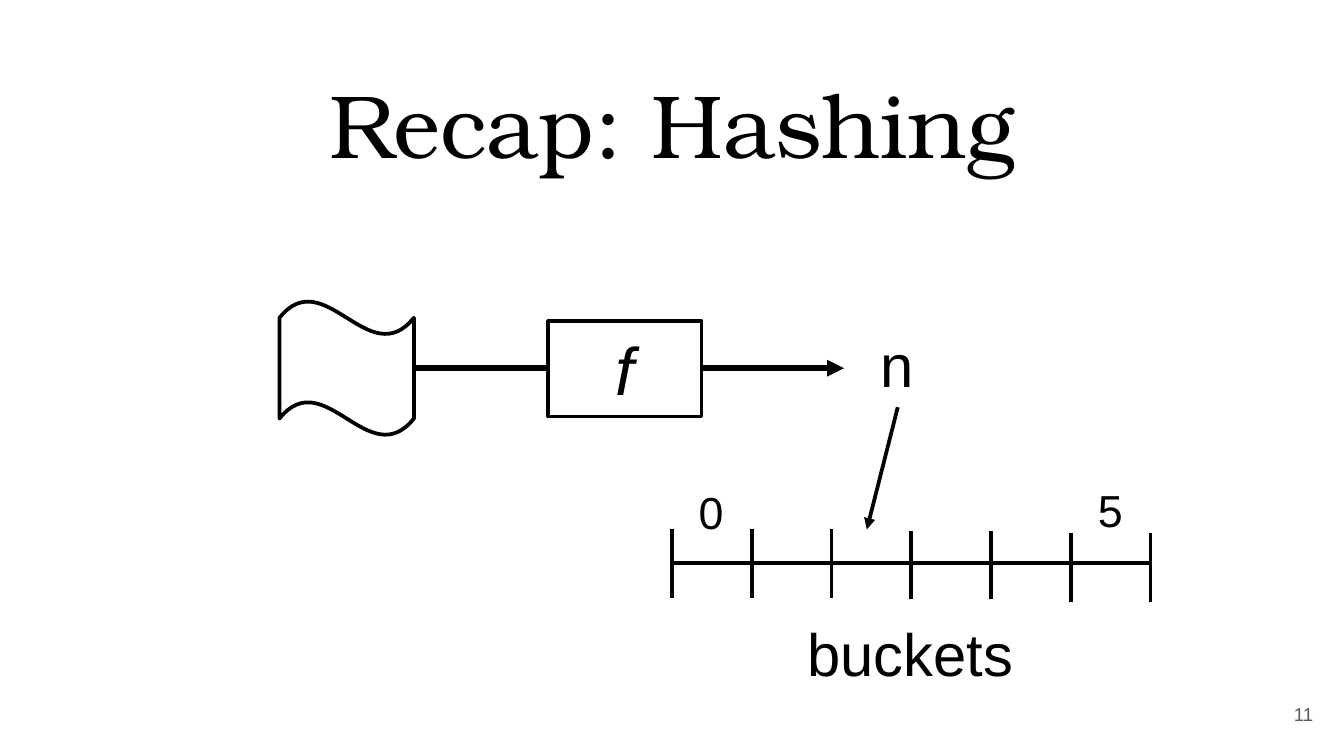
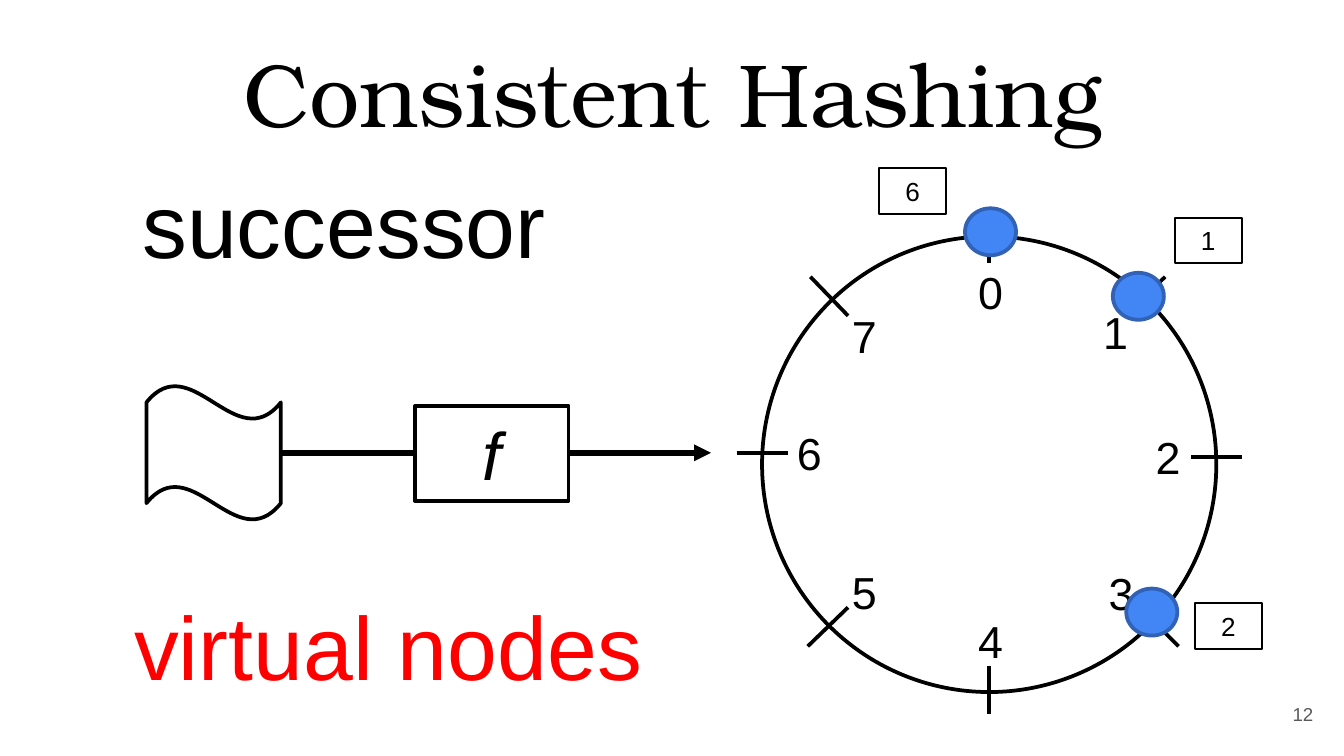
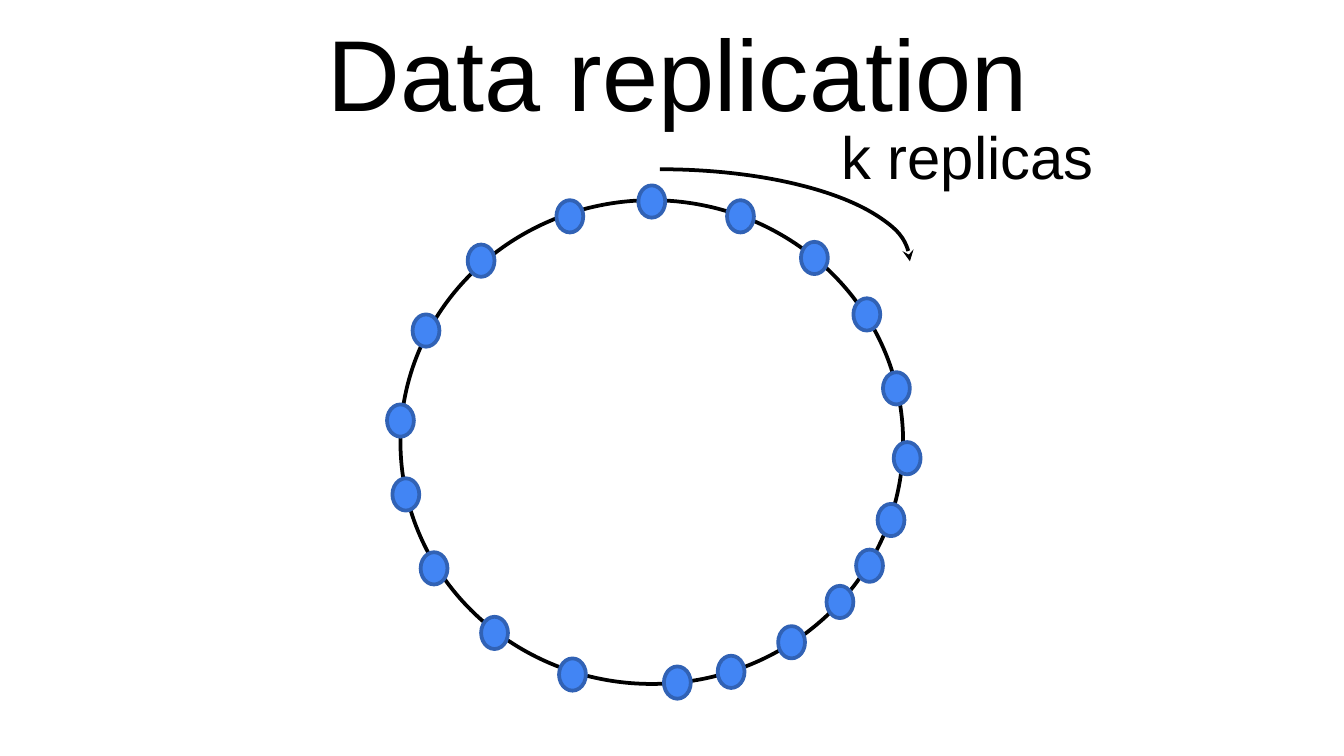
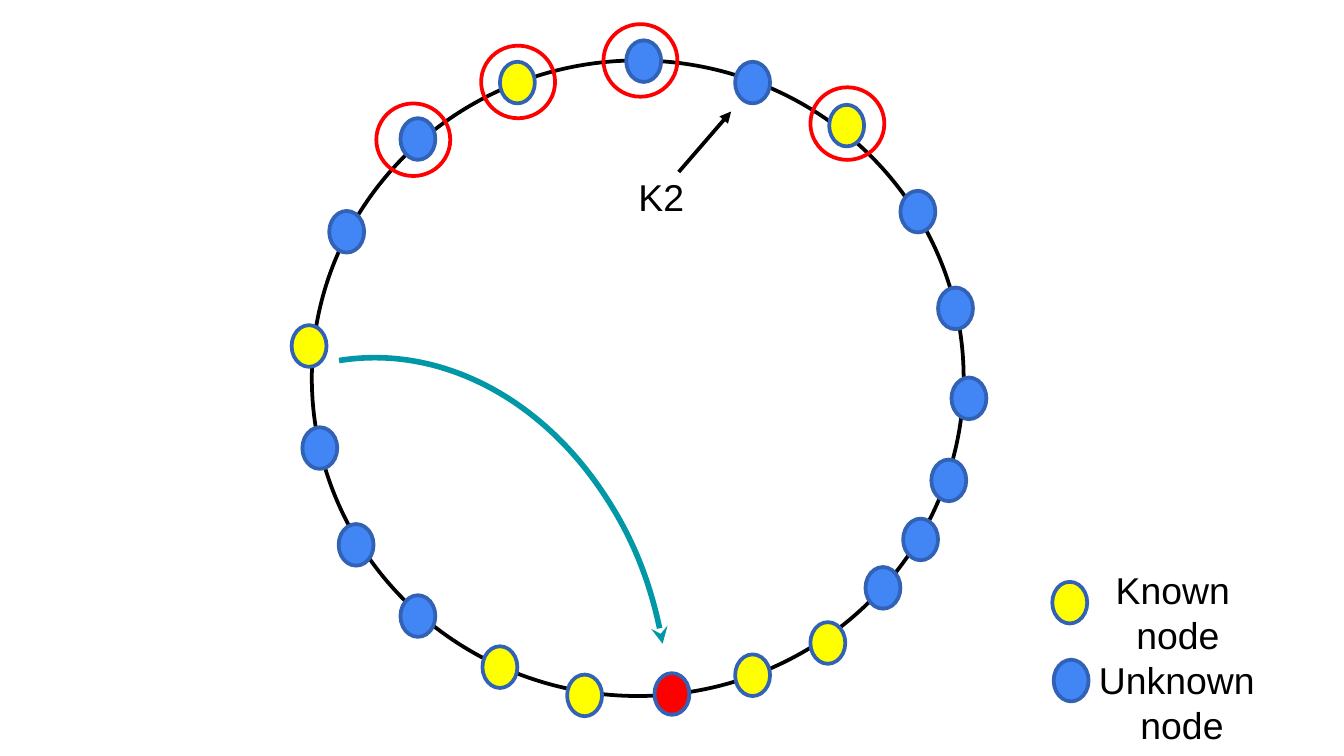
import pptx
import pptx.dml.color
import pptx.enum.shapes
import pptx.enum.text
import pptx.oxml.ns
import pptx.util
from lxml import etree

# Shared look; positions are in units of one inch
UNIT = 2.54
BLACK, WHITE, RED, GREY = "000000", "FFFFFF", "FF0000", "595959"
BLUE, EDGE, YELLOW, TEAL = "4285F4", "3162B5", "FFFF00", "0097A7"
BODY_FONT, TITLE_FONT = "Arial", "TeX Gyre Bonum"

color = pptx.dml.color.RGBColor.from_string
qn = pptx.oxml.ns.qn
PRESET = pptx.enum.shapes.MSO_SHAPE
NODE = PRESET.FLOWCHART_CONNECTOR
ANCHOR = pptx.enum.text.MSO_ANCHOR
ALIGN = pptx.enum.text.PP_ALIGN
FIT = pptx.enum.text.MSO_AUTO_SIZE.SHAPE_TO_FIT_TEXT

PADDED = {side: pptx.util.Cm(0.1 * UNIT) for side in
          ("margin_left", "margin_top", "margin_right", "margin_bottom")}
FITTED = {"word_wrap": True, "auto_size": FIT}
LABEL = {"word_wrap": False, "auto_size": FIT}
TITLE = {"word_wrap": True, "vertical_anchor": ANCHOR.TOP, **PADDED}
BOTTOM_TITLE = {**TITLE, "vertical_anchor": ANCHOR.BOTTOM}
FOOTER = {**TITLE, "vertical_anchor": ANCHOR.MIDDLE}


def draw(shapes, kind, at, line=BLACK, width=2, fill=None, **arrows):
    """Add a "line" (x1, y1, x2, y2) or a preset shape (left, top, width, height)."""
    place = [pptx.util.Cm(UNIT * value) for value in at]
    if kind == "line":
        shape = shapes.add_connector(pptx.enum.shapes.MSO_CONNECTOR.STRAIGHT, *place)
    else:
        shape = shapes.add_shape(kind, *place)
        shape.shadow.inherit = False
        if fill:
            shape.fill.solid()
            shape.fill.fore_color.rgb = color(fill)
        else:
            shape.fill.background()
    shape.line.color.rgb = color(line)
    shape.line.width = pptx.util.Pt(width)
    properties = shape.element.spPr
    for end, style in arrows.items():
        etree.SubElement(properties.find(qn("a:ln")), qn(f"a:{end}End"), type=style)
    if kind == "line":
        etree.SubElement(properties, qn("a:effectLst"))
    return shape


def write(shapes, text, size, at=None, box=None, frame_format=LABEL,
          align=ALIGN.LEFT, ink=BLACK, **font_format):
    """Write into a given box, or into a new text box."""
    box = box or shapes.add_textbox(*[pptx.util.Cm(UNIT * value) for value in at])
    for name, value in frame_format.items():
        setattr(box.text_frame, name, value)
    para = box.text_frame.paragraphs[0]
    para.text = text
    para.alignment = align
    for span in para.runs:
        span.font.color.rgb = color(ink)
        for name, value in {"name": BODY_FONT, "size": pptx.util.Pt(size),
                            **font_format}.items():
            setattr(span.font, name, value)


deck = pptx.Presentation()
deck.slide_width = pptx.util.Cm(25.4)
deck.slide_height = pptx.util.Cm(14.29)
pages = [deck.slides.add_slide(deck.slide_layouts[6]).shapes for _ in range(4)]
hashing, ring, replication, routing = pages

# Hashing slides: title, page number, and document -> f -> result
for page, title, title_top, number, left, middle in (
        (hashing, "Recap: Hashing", 0.41, "11", 2.08, 2.74),
        (ring, "Consistent Hashing", 0.18, "12", 1.09, 3.37)):
    write(page, title, 48, (0.36, title_top, 9.29, 1.42), frame_format=TITLE,
          align=ALIGN.CENTER, name=TITLE_FONT)
    write(page, number, 10, (9.27, 5.1, 0.6, 0.43), frame_format=FOOTER,
          align=ALIGN.RIGHT, ink=GREY)
    draw(page, "line", (left + 1, middle, left + 4.2, middle), width=3, tail="triangle")
    draw(page, PRESET.WAVE, (left, middle - 0.5, 1, 1))
    function = draw(page, PRESET.RECTANGLE, (left + 2, middle - 0.35, 1.14, 0.71), fill=WHITE)
    write(page, "f", 36, box=function, frame_format=FITTED, align=ALIGN.CENTER, italic=True)

# Slide 1: bucket scale
write(hashing, "n", 32, (6.45, 2.39, 0.45, 0.64))
scale = hashing.add_group_shape().shapes
draw(scale, "line", (5, 4.19, 8.56, 4.19))
for index, bottom in enumerate((4.45, 4.45, 4.45, 4.46, 4.46, 4.48, 4.48)):
    x = 5 + index * 3.56 / 6
    draw(scale, "line", (x, bottom, x, bottom - 0.51))
write(hashing, "buckets", 32, (5.91, 4.54, 1.75, 0.64))
draw(hashing, "line", (6.68, 3.03, 6.45, 3.94), tail="triangle")
write(hashing, "0", 24, (5.1, 3.56, 0.39, 0.5))
write(hashing, "5", 24, (8.07, 3.54, 0.39, 0.5))

# Slide 2: ring with ticks and positions 0 to 7
dial = ring.add_group_shape().shapes
draw(dial, PRESET.OVAL, (5.67, 1.76, 3.38, 3.39))
for tick in ((7.36, 1.6, 7.36, 1.96), (7.36, 4.96, 7.36, 5.31),
             (8.86, 3.4, 9.24, 3.4), (5.48, 3.37, 5.86, 3.37),
             (8.67, 2.06, 8.36, 2.35), (6.31, 4.52, 6.01, 4.81),
             (8.77, 4.81, 8.48, 4.52), (6.31, 2.35, 6.03, 2.06)):
    draw(dial, "line", tick)
for position, (x, y) in enumerate(((7.18, 1.92), (8.11, 2.22), (8.5, 3.15), (8.15, 4.16),
                                   (7.18, 4.52), (6.24, 4.15), (5.83, 3.12), (6.24, 2.25))):
    write(dial, str(position), 24, (x, y, 0.39, 0.5))

# Slide 2: nodes, their keys, and terms
for x, y in ((7.18, 1.55), (8.28, 2.03), (8.38, 4.38)):
    draw(ring, NODE, (x, y, 0.38, 0.35), EDGE, fill=BLUE)
for key, x, y in (("1", 8.74, 1.62), ("2", 8.89, 4.49), ("6", 6.54, 1.25)):
    key_box = draw(ring, PRESET.RECTANGLE, (x, y, 0.5, 0.34), width=1)
    write(ring, key, 14, box=key_box, frame_format=FITTED, align=ALIGN.CENTER)
write(ring, "virtual nodes", 48, (0.9, 4.35, 4.02, 0.91), ink=RED)
write(ring, "successor", 48, (0.96, 1.21, 3.42, 0.91))

# Slide 3: ring of replicas
circle = replication.add_group_shape().shapes
draw(circle, PRESET.OVAL, (2.98, 1.49, 3.74, 3.6))
for x, y in ((6.15, 4.36), (5.79, 4.66), (5.34, 4.88), (4.94, 4.96), (4.16, 4.9),
             (3.58, 4.59), (3.13, 4.11), (2.92, 3.56), (2.88, 3.01), (3.07, 2.34),
             (3.48, 1.82), (4.14, 1.49), (4.75, 1.38), (5.41, 1.49), (5.96, 1.8),
             (6.35, 2.22), (6.57, 2.77), (6.65, 3.29), (6.53, 3.75), (6.37, 4.09)):
    draw(circle, NODE, (x, y, 0.2, 0.24), EDGE, fill=BLUE)
write(replication, "Data replication", 54, (1.03, 0.08, 8.03, 1),
      frame_format=BOTTOM_TITLE, align=ALIGN.CENTER)
draw(replication, PRESET.ARC, (3.05, 1.26, 3.72, 1.37), tail="stealth")
write(replication, "k replicas", 32, (5.61, 0.84, 3.18, 0.64),
      frame_format=FITTED, align=ALIGN.CENTER)

# Slide 4: ring of known and unknown nodes, with one node of each in the legend
draw(routing, PRESET.OVAL, (2.32, 0.45, 4.85, 4.73))
nodes = {
    BLUE: ((6.44, 4.22), (2.52, 3.9), (2.25, 3.18), (2.45, 1.57), (2.98, 0.88),
           (4.66, 0.3), (5.47, 0.46), (6.7, 1.42), (6.98, 2.14), (7.08, 2.81),
           (6.93, 3.42), (6.72, 3.86), (2.98, 4.43), (7.84, 4.91)),
    YELLOW: ((3.72, 0.46), (2.17, 2.42), (3.59, 4.81), (4.22, 5.02), (5.47, 4.87),
             (6.03, 4.63), (6.17, 0.78), (7.83, 4.33)),
    RED: ((4.87, 5.01),),
}
for fill, places in nodes.items():
    for x, y in places:
        draw(routing, NODE, (x, y, 0.26, 0.31), EDGE, fill=fill)
for text, at in (("Known \nnode", (6.92, 4.17, 3.69, 0.77)),
                 ("Unknown \nnode", (6.95, 4.84, 3.69, 0.77)),
                 ("K2", (4.26, 1.25, 1.32, 0.44))):
    write(routing, text, 20, at, frame_format=FITTED, align=ALIGN.CENTER)

# Slide 4: lookup arrows and marked nodes
draw(routing, "line", (5.05, 1.28, 5.44, 0.83), tail="triangle")
jump = draw(routing, PRESET.ARC, (0.44, 3.11, 4.98, 4.06), TEAL, 3, head="stealth")
jump.adjustments[0], jump.adjustments[1] = 162, 215.712
jump.rotation = 260.1
jump.element.spPr.find(qn("a:xfrm")).set("flipV", "1")
for x, y in ((2.8, 0.77), (6.03, 0.65), (4.49, 0.18), (3.58, 0.34)):
    draw(routing, NODE, (x, y, 0.55, 0.54), RED)

deck.save("out.pptx")
